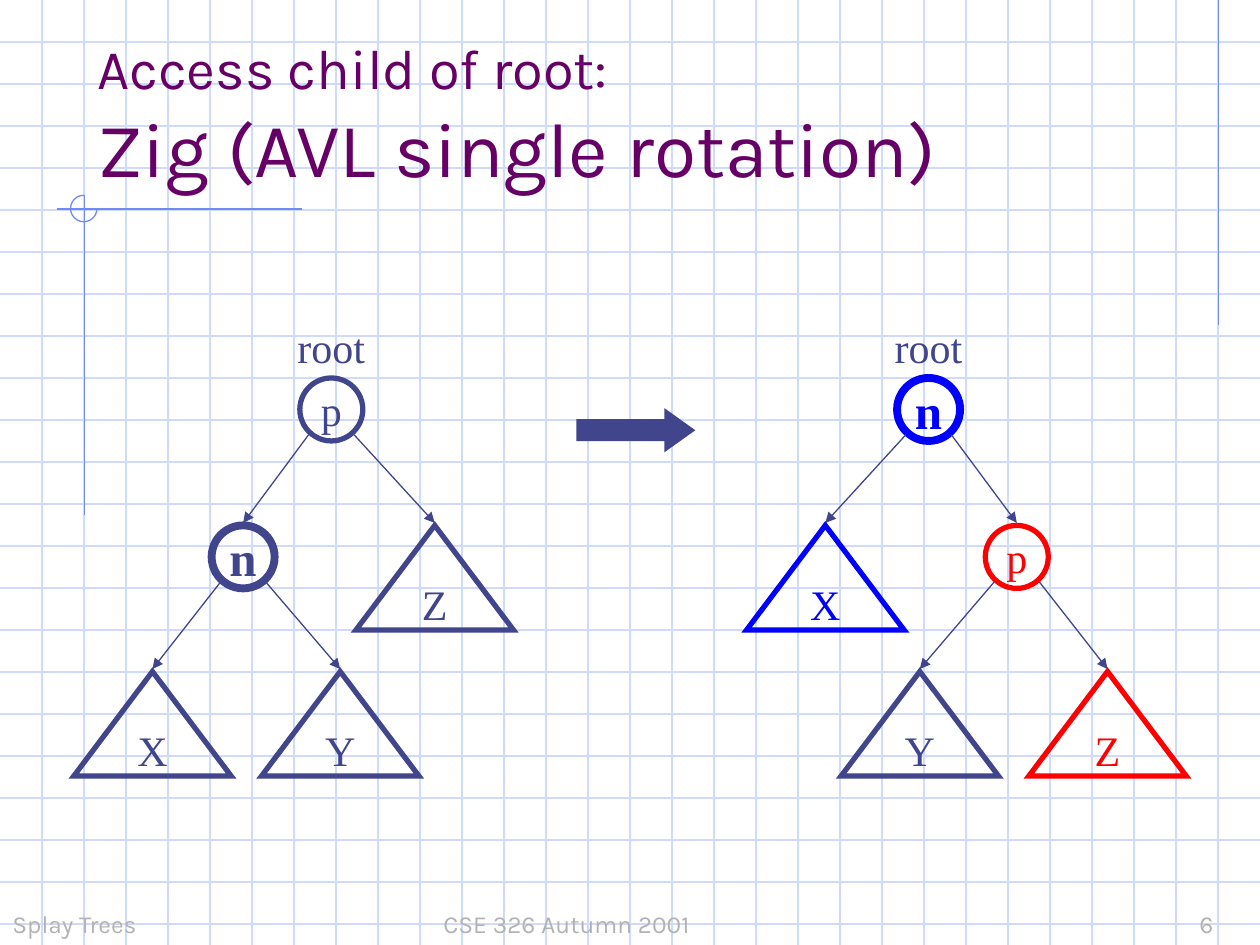
import pptx
import pptx.util
import pptx.dml.color
import pptx.enum.shapes
import pptx.enum.text
import pptx.oxml
import pptx.oxml.ns
from dataclasses import dataclass

Inches, Pt = pptx.util.Inches, pptx.util.Pt
SHAPE = pptx.enum.shapes.MSO_SHAPE
ALIGN = pptx.enum.text.PP_ALIGN
ANCHOR = pptx.enum.text.MSO_ANCHOR


@dataclass(frozen=True)
class Theme:
    ink: str = "40458C"
    blue: str = "0000FF"
    red: str = "FF0000"
    plum: str = "660066"
    gray: str = "B2B2B2"
    grid: str = "CFDBFD"
    trim: str = "6F89F7"
    sans: str = "Karla"
    serif: str = "Times New Roman"
    big: int = 44
    lead: int = 32
    bold: int = 28
    body: int = 24
    foot: int = 14
    thin: float = 0.75
    line: float = 3
    thick: float = 4.5


T = Theme()

# Content
TITLE = [("Access child of root:", T.lead), ("Zig (AVL single rotation)", T.big)]
FEET = [("Splay Trees", 0, 2.08), ("CSE 326 Autumn 2001\t\t\t\t\t6", 3.42, 6.58)]
# Each node: label, center x, row, color, children; a node without children is a subtree
BEFORE = ("p", 2.63, 0, T.ink, [
    ("n", 1.93, 1, T.ink, [("X", 1.21, 2, T.ink, []), ("Y", 2.7, 2, T.ink, [])]),
    ("Z", 3.45, 1, T.ink, [])])
AFTER = ("n", 7.37, 0, T.blue, [
    ("X", 6.55, 1, T.blue, []),
    ("p", 8.07, 1, T.red, [("Y", 7.3, 2, T.ink, []), ("Z", 8.79, 2, T.red, [])])])
ROOT = "root"

# Layout
WIDE, HIGH, STEP = 10, 7.5, 1 / 3
ROWS = (3, 4.17, 5.33)
DISC = 0.5
TRI = (1.25, 0.83)
LABEL = 1
TRIM = [(9.67, 0, 9.67, 2.58), (2.4, 1.66, 0.45, 1.66), (0.67, 1.55, 0.67, 4.09)]


def rgb(hue):
    return pptx.dml.color.RGBColor.from_string(hue)


def box(*size):
    return [Inches(v) for v in size]


def xml(tag, attrs="", inner=""):
    space = pptx.oxml.ns.nsdecls("a")
    return pptx.oxml.parse_xml(f"<a:{tag} {space} {attrs}>{inner}</a:{tag}>")


def write(frame, lines, font=T.serif, hue=T.ink, bold=False, align=ALIGN.LEFT,
          anchor=ANCHOR.TOP, wrap=False, tabs=0):
    """Fill a frame with (text, size) lines; tabs is a count of one-inch stops."""
    frame.word_wrap = wrap
    frame.auto_size = pptx.enum.text.MSO_AUTO_SIZE.NONE
    frame.vertical_anchor = anchor
    para = frame.paragraphs[0]
    para.alignment = align
    if tabs:
        stops = "".join(f'<a:tab pos="{Inches(i)}" algn="l"/>' for i in range(1, tabs + 1))
        para._p.get_or_add_pPr().append(xml("tabLst", inner=stops))
    for i, (text, size) in enumerate(lines):
        if i:
            para.add_line_break()
        run = para.add_run()
        run.text = text
        run.font.name, run.font.size = font, Pt(size)
        run.font.bold, run.font.color.rgb = bold, rgb(hue)


def rule(shapes, ends, hue, arrow=False):
    link = shapes.add_connector(pptx.enum.shapes.MSO_CONNECTOR.STRAIGHT, *box(*ends))
    link.line.width, link.line.color.rgb = Pt(T.thin), rgb(hue)
    if arrow:
        link.line._get_or_add_ln().append(xml("tailEnd", 'type="triangle"'))
    link._element.spPr.append(xml("effectLst"))


def draw(shapes, kind, place, hue, width, fill=None):
    part = shapes.add_shape(kind, *box(*place))
    part.shadow.inherit = False
    part.line.color.rgb, part.line.width = rgb(hue), Pt(width)
    part.line._get_or_add_ln().append(xml("miter", 'lim="800000"'))
    if fill:
        part.fill.solid()
        part.fill.fore_color.rgb = rgb(fill)
    else:
        part.fill.background()
    return part


def grow(shapes, node):
    """Draw a node, the arrows to its children, and the children."""
    name, mid, row, hue, kids = node
    top, hit = ROWS[row], name == "n"
    kind = SHAPE.OVAL if kids else SHAPE.ISOSCELES_TRIANGLE
    wide, high = (DISC, DISC) if kids else TRI
    part = draw(shapes, kind, (mid - wide / 2, top, wide, high), hue,
                T.thick if hit else T.line)
    write(part.text_frame, [(name, T.bold if hit else T.body)], hue=hue, bold=hit,
          align=ALIGN.CENTER, anchor=ANCHOR.MIDDLE)
    for kid in kids:
        side = 0.18 if kid[1] > mid else -0.18
        rule(shapes, (mid + side, top + 0.45, kid[1], ROWS[kid[2]] - 0.02), T.ink, True)
        grow(shapes, kid)


def main():
    deck = pptx.Presentation()
    deck.slide_width, deck.slide_height = box(WIDE, HIGH)
    slide = deck.slides.add_slide(deck.slide_layouts[5])
    shapes = slide.shapes

    # Graph paper and trim
    paper = shapes.add_group_shape().shapes
    for i in range(1, 23):
        rule(paper, (0, i * STEP, WIDE, i * STEP), T.grid)
    for i in range(1, 30):
        rule(paper, (i * STEP, 0, i * STEP, HIGH), T.grid)
    for ends in TRIM:
        rule(paper, ends, T.trim)
    arc = draw(paper, SHAPE.ARC, (0.56, 1.55, 0.21, 0.21), T.trim, T.thin)
    arc.adjustments[0], arc.adjustments[1] = 0, 162  # three quarters of a turn

    # Title, raised above the paper
    title = shapes.title
    title.left, title.top, title.width, title.height = box(0.67, 0.33, 8.5, 1.25)
    write(title.text_frame, TITLE, font=T.sans, hue=T.plum, anchor=ANCHOR.BOTTOM,
          wrap=True)
    shapes._spTree.append(title._element)

    # Footers
    for text, left, wide in FEET:
        foot = shapes.add_textbox(*box(left, 7, wide, 0.5))
        write(foot.text_frame, [(text, T.foot)], font=T.sans, hue=T.gray,
              anchor=ANCHOR.BOTTOM, wrap=True, tabs=7)

    # Trees before and after the rotation, each with a label over its root
    for tree in (BEFORE, AFTER):
        grow(shapes, tree)
        label = shapes.add_textbox(*box(tree[1] - LABEL / 2, 2.5, LABEL, 0.5))
        write(label.text_frame, [(ROOT, T.body)], align=ALIGN.CENTER)

    # Rotation arrow
    turn = draw(shapes, SHAPE.RIGHT_ARROW, (4.58, 3.25, 0.93, 0.33), T.ink, T.thin, T.ink)
    turn.adjustments[1] = 0.7

    deck.save("out.pptx")


if __name__ == "__main__":
    main()
